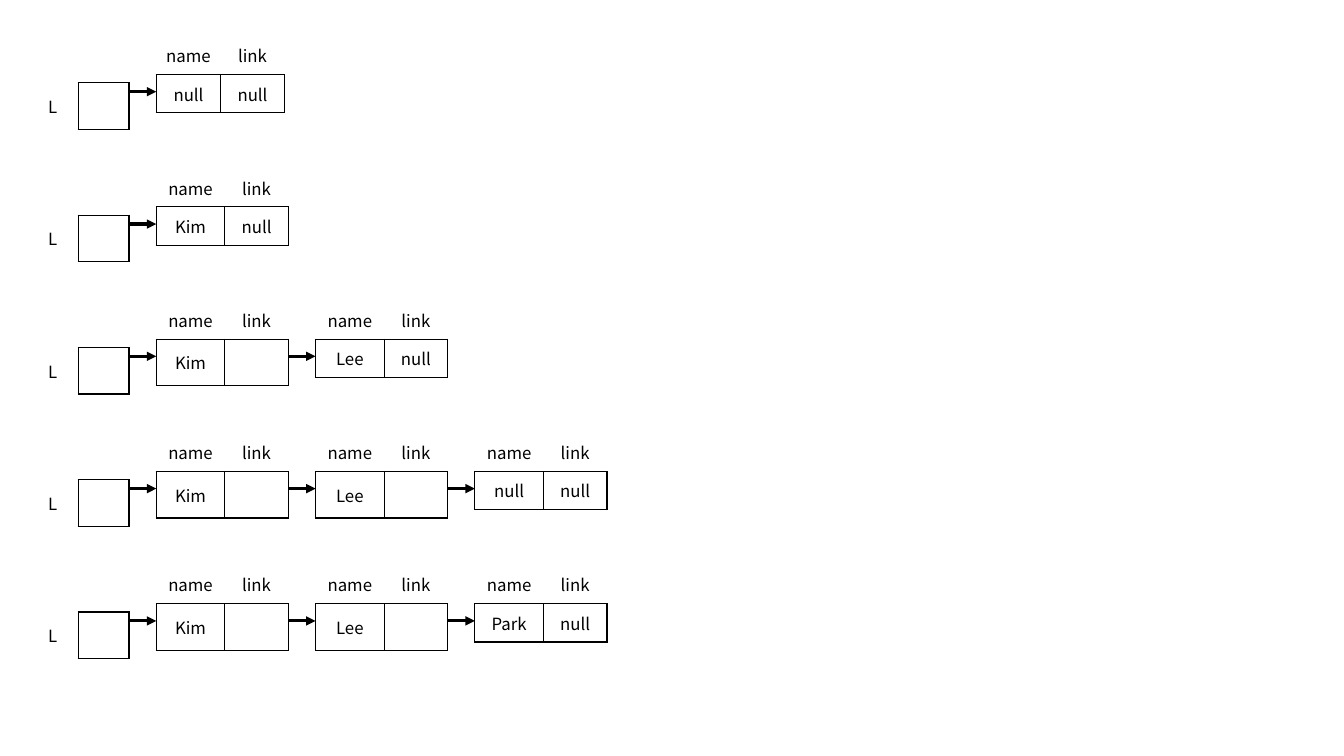
import pptx
import pptx.util
import pptx.enum.shapes
import pptx.enum.text
import pptx.dml.color
import pptx.oxml
import pptx.oxml.ns

WIDE, HIGH = 13.33, 7.5
COLORS = {"ink": "000000"}
FONT = "Noto Sans CJK KR"
PLAIN = "{2D5ABB26-0587-4C30-8999-92F81FD0307C}"  # table style without lines or fill

# Grid: one list per band, nodes at equal steps
TOP, BAND = 0.36, HIGH * 0.175
HEAD, HEAD_COL = 0.27, 0.505
NODE, NAME, SLIM, LINK = 1.55, 0.68, 0.64, 0.63
GAP, DROP = 0.27, 0.55
STEP = NAME + LINK + GAP
ROW, INSET = 0.38, 0.05

LISTS = [
    [("null", "null")],
    [("Kim", "null")],
    [("Kim", ""), ("Lee", "null")],
    [("Kim", ""), ("Lee", ""), ("null", "null")],
    [("Kim", ""), ("Lee", ""), ("Park", "null")],
]


def inch(size):
    return pptx.util.Inches(size)


def ink():
    return pptx.dml.color.RGBColor.from_string(COLORS["ink"])


def element(tag, body="", **pairs):
    names = " ".join(f'{key}="{value}"' for key, value in pairs.items())
    spaces = pptx.oxml.ns.nsdecls("a")
    return pptx.oxml.parse_xml(f"<a:{tag} {spaces} {names}>{body}</a:{tag}>")


def border(cell, sides):
    fill = f'<a:solidFill><a:srgbClr val="{COLORS["ink"]}"/></a:solidFill>'
    props = cell._tc.get_or_add_tcPr()
    for side in "LRTB":
        if side in sides:
            props.append(element(f"ln{side}", fill, w=12700))


def write(cell, text):
    cell.margin_left = cell.margin_right = inch(INSET)
    cell.margin_top = cell.margin_bottom = inch(INSET)
    cell.vertical_anchor = pptx.enum.text.MSO_ANCHOR.MIDDLE
    para = cell.text_frame.paragraphs[0]
    para.alignment = pptx.enum.text.PP_ALIGN.CENTER
    if text:
        run = para.add_run()
        run.text = text
        run.font.name = FONT
        run.font.size = pptx.util.Pt(12)
        run.font.color.rgb = ink()
    else:
        # An empty cell keeps the larger default line height
        face = f'<a:latin typeface="{FONT}"/><a:ea typeface="{FONT}"/>'
        para._p.append(element("endParaRPr", face, sz=1800))


def add_grid(slide, left, top, cols, texts, sides):
    frame = slide.shapes.add_table(
        len(texts), len(cols), inch(left), inch(top),
        inch(sum(cols)), inch(ROW * len(texts)))
    table = frame.table
    table.first_row = table.horz_banding = False
    table._tbl.tblPr.find(pptx.oxml.ns.qn("a:tableStyleId")).text = PLAIN
    for col, width in zip(table.columns, cols):
        col.width = inch(width)
    for r, line in enumerate(texts):
        table.rows[r].height = inch(ROW)
        for c, text in enumerate(line):
            cell = table.cell(r, c)
            border(cell, sides[r][c])
            write(cell, text)
            cell.fill.background()


def add_head(slide, top):
    add_grid(slide, HEAD, top, [HEAD_COL] * 2,
             [("", ""), ("L", "")], [("", "B"), ("R", "LRTB")])


def add_node(slide, left, top, values, first):
    add_grid(slide, left, top, [first, LINK],
             [("name", "link"), values], [("B", "B"), ("LRTB", "LRTB")])


def add_arrow(slide, tip, y):
    arrow = slide.shapes.add_connector(
        pptx.enum.shapes.MSO_CONNECTOR.STRAIGHT,
        inch(tip - GAP), inch(y), inch(tip), inch(y))
    arrow.line.color.rgb = ink()
    arrow.line.width = pptx.util.Pt(2.25)
    arrow.line._get_or_add_ln().append(element("tailEnd", type="triangle"))
    arrow._element.spPr.append(element("effectLst"))


def main():
    deck = pptx.Presentation()
    deck.slide_width, deck.slide_height = inch(WIDE), inch(HIGH)
    slide = deck.slides.add_slide(deck.slide_layouts[6])

    # Each band: the head, then its nodes, each with an arrow to it
    for band, nodes in enumerate(LISTS):
        top = TOP + band * BAND
        add_head(slide, top)
        for place, values in enumerate(nodes):
            left = NODE + place * STEP
            add_node(slide, left, top, values, NAME if band else SLIM)
            add_arrow(slide, left, top + DROP)

    deck.save("out.pptx")


if __name__ == "__main__":
    main()
